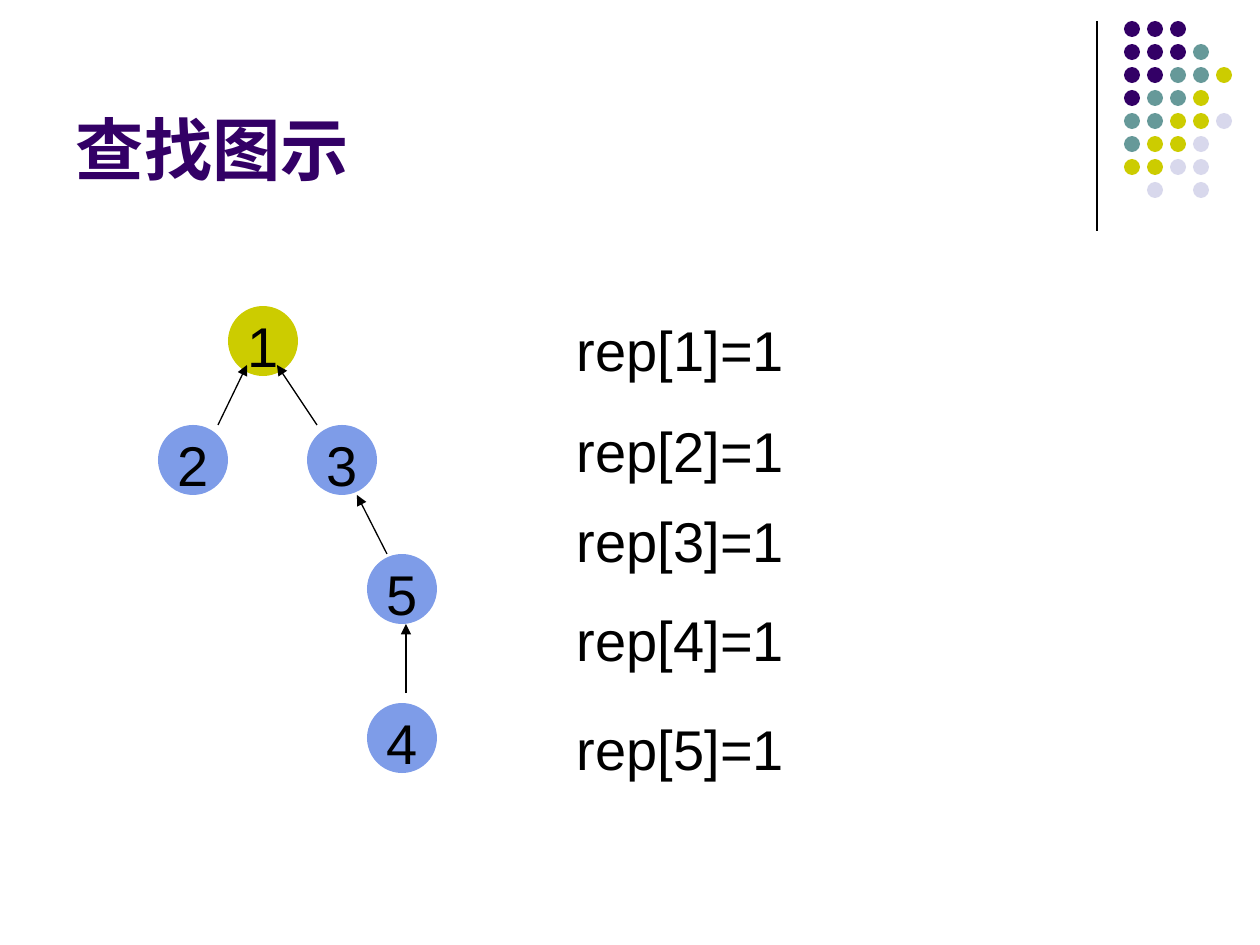
from lxml import etree
from pptx import Presentation, util as u
from pptx.dml.color import RGBColor
from pptx.enum import shapes, text
from pptx.oxml.ns import qn

EMU_PER_PX = 914400 / 126
FONT = "Arial"
COLORS = {
    "purple": "330066", "teal": "669999", "olive": "CCCC00",
    "lavender": "D8D8EC", "blue": "7E9CE8", "black": "000000",
}
DOT_COLORS = {"p": "purple", "t": "teal", "o": "olive", "l": "lavender"}
DOT_ROWS = ["ppp", "pppt", "pptto", "ptto", "ttool", "tool", "ooll", " l l"]
DOT_PITCH, DOT_SIZE = 23, 16
NODE_SIZE = 70
NODES = [
    ("1", 228, 306, "olive"),
    ("2", 158, 425, "blue"),
    ("3", 307, 425, "blue"),
    ("5", 367, 554, "blue"),
    ("4", 367, 703, "blue"),
]
PARENT_ARROWS = [
    (218, 425, 247, 365),
    (317, 425, 277, 365),
    (387, 554, 357, 495),
    (406, 693, 406, 624),
]
REP_TOPS = [305, 406, 495, 594, 703]


def px(*lengths):
    return [u.Emu(round(length * EMU_PER_PX)) for length in lengths]


def rgb(name):
    return RGBColor.from_string(COLORS[name])


def write(shape, words, size, color="black", bold=False, top_inset=6):
    frame = shape.text_frame
    frame.margin_left, frame.margin_top, frame.margin_right, frame.margin_bottom = px(
        13, top_inset, 13, 6)
    run = frame.paragraphs[0].add_run()
    run.text = words
    run.font.name = FONT
    run.font.size = u.Pt(size)
    run.font.bold = bold
    run.font.color.rgb = rgb(color)
    return frame


def add_label(slide, words, box, size, **style):
    frame = write(slide.shapes.add_textbox(*px(*box)), words, size, **style)
    frame.word_wrap = True
    return frame


def add_circle(parent, left, top, size, color):
    circle = parent.shapes.add_shape(
        shapes.MSO_SHAPE.OVAL, *px(left, top, size, size))
    circle.shadow.inherit = False
    circle.fill.solid()
    circle.fill.fore_color.rgb = rgb(color)
    circle.line.fill.background()
    return circle


def add_node(slide, number, left, top, color):
    circle = add_circle(slide, left, top, NODE_SIZE, color)
    frame = write(circle, number, 32, top_inset=14)
    frame.word_wrap = False
    frame.vertical_anchor = text.MSO_ANCHOR.MIDDLE
    frame.paragraphs[0].alignment = text.PP_ALIGN.CENTER


def add_line(slide, ends, arrow=False):
    line = slide.shapes.add_connector(shapes.MSO_CONNECTOR.STRAIGHT, *px(*ends))
    line.line.color.rgb = rgb("black")
    line.line.width = u.Pt(0.75)
    properties = line._element.spPr
    if arrow:
        outline = properties.find(qn("a:ln"))
        etree.SubElement(outline, qn("a:tailEnd"), type="triangle")
    etree.SubElement(properties, qn("a:effectLst"))


def add_dot_pattern(slide, left, top):
    group = slide.shapes.add_group_shape()
    for row, codes in enumerate(DOT_ROWS):
        for column, code in enumerate(codes):
            if code in DOT_COLORS:
                add_circle(group, left + column * DOT_PITCH, top + row * DOT_PITCH,
                           DOT_SIZE, DOT_COLORS[code])


def main():
    presentation = Presentation()
    presentation.slide_width, presentation.slide_height = px(1260, 945)
    slide = presentation.slides.add_slide(presentation.slide_layouts[6])

    add_line(slide, (1097, 21, 1097, 231))
    add_dot_pattern(slide, 1124, 21)
    title = add_label(slide, "查找图示", (63, 16, 1040, 179), 39,
                      color="purple", bold=True)
    title.vertical_anchor = text.MSO_ANCHOR.BOTTOM

    for node in NODES:
        add_node(slide, *node)
    for ends in PARENT_ARROWS:
        add_line(slide, ends, arrow=True)
    for number, top in enumerate(REP_TOPS, start=1):
        add_label(slide, f"rep[{number}]=1", (564, top, 328, 81), 32, top_inset=11)

    presentation.save("out.pptx")


if __name__ == "__main__":
    main()
